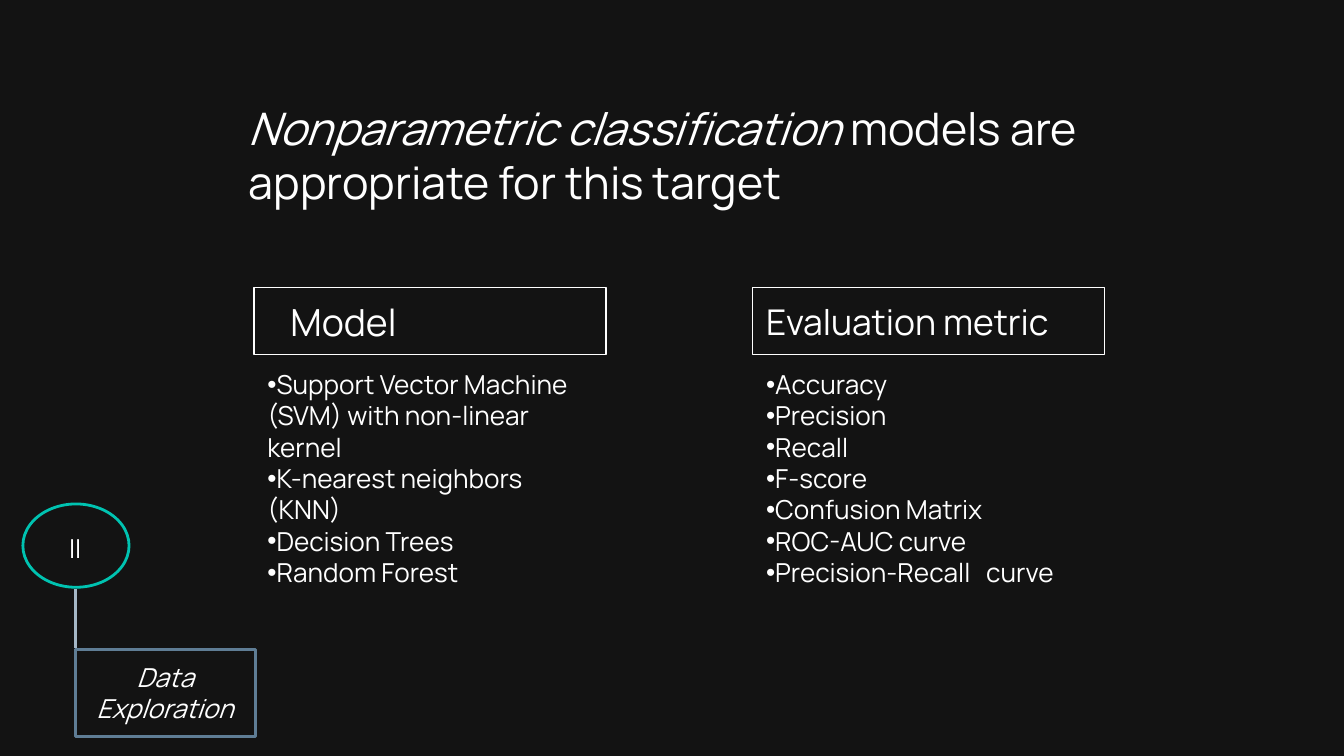
from lxml.etree import SubElement
from pptx import Presentation
from pptx.dml.color import RGBColor
from pptx.enum.shapes import MSO_CONNECTOR, MSO_SHAPE
from pptx.enum.text import MSO_ANCHOR, MSO_AUTO_SIZE, PP_ALIGN
from pptx.oxml.ns import qn
from pptx.util import Inches, Pt

COLORS = {"bg": "131313", "text": "FFFFFF", "ring": "00C3B1",
          "stem": "A5B7C6", "box": "5F7D95"}
FONT = "Manrope"


def color(name):
    return RGBColor.from_string(COLORS[name])


def write(sp, paragraphs, size, anchor=MSO_ANCHOR.TOP, align=PP_ALIGN.LEFT,
          inset=0.1, wrap=True, left=None, bullet=None):
    """Fill sp with paragraphs, each a list of (text, italic) runs."""
    tf = sp.text_frame
    tf.word_wrap, tf.auto_size, tf.vertical_anchor = wrap, MSO_AUTO_SIZE.NONE, anchor
    tf.margin_left = tf.margin_right = tf.margin_top = tf.margin_bottom = Inches(inset)
    for i, runs in enumerate(paragraphs):
        p = tf.add_paragraph() if i else tf.paragraphs[0]
        p.alignment = align
        p.space_before = p.space_after = Pt(0)
        p.line_spacing = 1.0
        pPr = p._p.get_or_add_pPr()
        if left is not None:
            pPr.set("marL", str(Inches(left)))
            pPr.set("indent", str(Inches(-0.33)))
        if bullet:
            clr = SubElement(pPr, qn("a:buClr"))
            SubElement(clr, qn("a:srgbClr"), val=COLORS["text"])
            SubElement(pPr, qn("a:buChar"), char=bullet)
        for text, italic in runs:
            r = p.add_run()
            r.text = text
            f = r.font
            f.name, f.size, f.bold, f.italic = FONT, Pt(size), False, italic
            f.color.rgb = color("text")


prs = Presentation()
prs.slide_width = Inches(10)
prs.slide_height = prs.slide_width * 9 // 16
slide = prs.slides.add_slide(prs.slide_layouts.get_by_name("Comparison"))
slide.background.fill.solid()
slide.background.fill.fore_color.rgb = color("bg")
for sp in list(slide.placeholders):
    if sp.placeholder_format.idx > 4:
        sp._element.getparent().remove(sp._element)
ph = {sp.placeholder_format.idx: sp for sp in slide.placeholders}

# Title
title = slide.shapes.title
title.left, title.top, title.width, title.height = map(Inches, (1.75, 0.65, 7.46, 0.63))
write(title, [[("Nonparametric classification ", True),
               ("models are appropriate for this target", False)]], 24)

# Two columns: header box above a bulleted list
col_w, head_top, head_h, list_h = 2.62, 2.14, 0.5, 0.63
columns = [
    (1, 1.89, "Model", 20, 0.5,
     ["Support Vector Machine (SVM) with non-linear kernel",
      "K-nearest neighbors (KNN)", "Decision Trees", "Random Forest"]),
    (3, 5.6, "Evaluation metric", 19, 0,
     ["Accuracy", "Precision", "Recall", "F-score", "Confusion Matrix",
      "ROC-AUC curve", "Precision-Recall   curve"]),
]
for idx, x, heading, size, indent, items in columns:
    head, body = ph[idx], ph[idx + 1]
    for sp, y, h in ((head, head_top, head_h), (body, head_top + head_h, list_h)):
        sp.left, sp.top, sp.width, sp.height = map(Inches, (x, y, col_w, h))
    head.line.color.rgb = color("text")
    head.line.width = Pt(0.75)
    write(head, [[(heading, False)]], size, anchor=MSO_ANCHOR.MIDDLE, left=indent)
    write(body, [[(item, False)] for item in items], 14, left=0, bullet="•")

# Section marker: numbered ring, stem and label
marker = slide.shapes.add_group_shape().shapes
ring = marker.add_shape(MSO_SHAPE.OVAL, *map(Inches, (0.17, 3.75, 0.79, 0.62)))
number = marker.add_textbox(*map(Inches, (0.41, 3.91, 0.3, 0.34)))
stem = marker.add_connector(MSO_CONNECTOR.STRAIGHT, *map(Inches, (0.56, 4.82, 0.56, 4.38)))
label = marker.add_shape(MSO_SHAPE.RECTANGLE, *map(Inches, (0.56, 4.83, 1.34, 0.65)))
for sp, name in ((ring, "ring"), (stem, "stem"), (label, "box")):
    sp.line.color.rgb = color(name)
    sp.line.width = Pt(1.5)
for sp in (ring, label):
    sp.fill.background()
    sp.shadow.inherit = False
SubElement(stem._element.spPr, qn("a:effectLst"))
write(number, [[("II", False)]], 14, align=PP_ALIGN.CENTER, inset=0.05, wrap=False)
write(label, [[("Data Exploration", True)]], 14, anchor=MSO_ANCHOR.MIDDLE,
      align=PP_ALIGN.CENTER)

prs.save("out.pptx")
